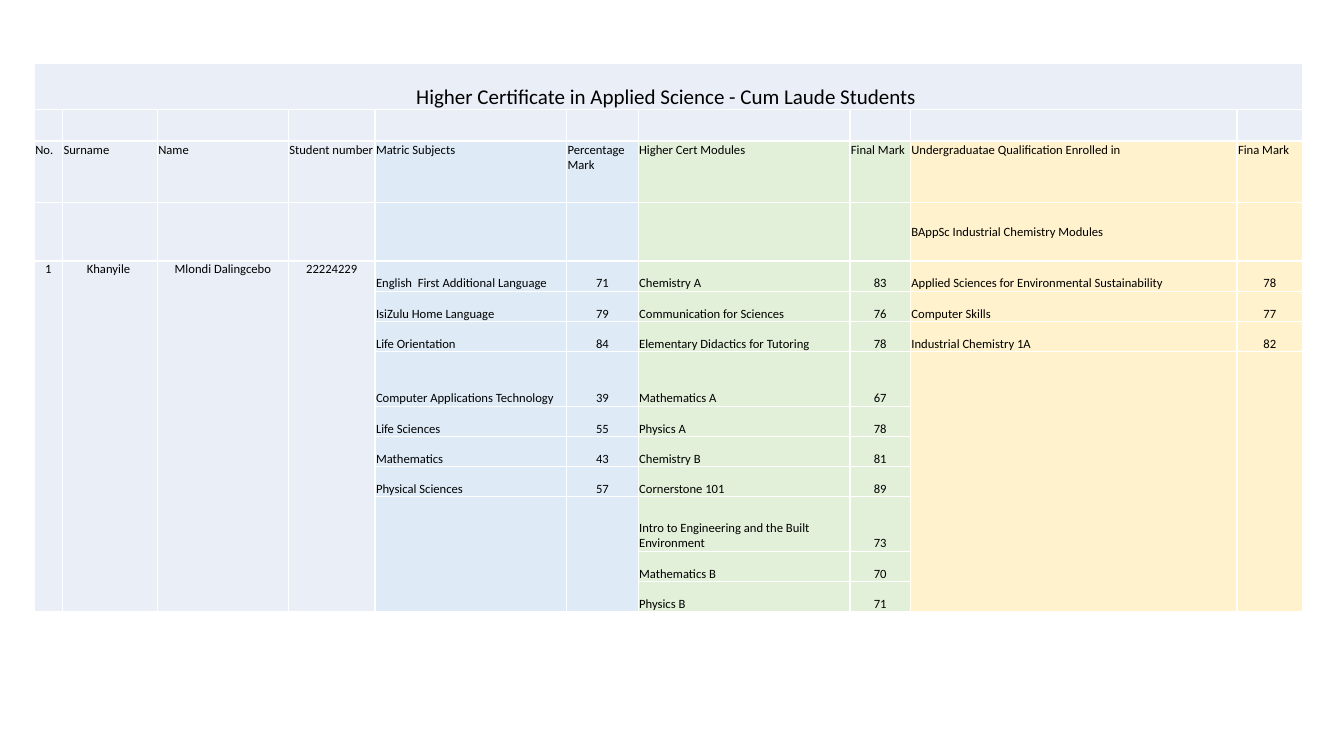
from pptx import Presentation
from pptx.dml.color import RGBColor
from pptx.enum.text import MSO_ANCHOR as ANCHOR, PP_ALIGN as ALIGN
from pptx.oxml.ns import qn
from pptx.util import Inches, Pt
from lxml.etree import SubElement

TITLE = "Higher Certificate in Applied Science - Cum Laude Students "
HEADERS = ["No.", "Surname", "Name", "Student number", "Matric Subjects",
           "Percentage Mark", "Higher Cert Modules", "Final Mark",
           "Undergraduatae Qualification Enrolled in", "Fina Mark"]
DEGREE = "BAppSc Industrial Chemistry Modules"
STUDENT = ["1", "Khanyile ", "Mlondi Dalingcebo", "22224229"]
MATRIC = [("English  First Additional Language", 71), ("IsiZulu Home Language", 79),
          ("Life Orientation", 84), ("Computer Applications Technology", 39),
          ("Life Sciences", 55), ("Mathematics", 43), ("Physical Sciences", 57)]
CERTIFICATE = [("Chemistry A", 83), ("Communication for Sciences", 76),
               ("Elementary Didactics for Tutoring", 78), ("Mathematics A", 67),
               ("Physics A", 78), ("Chemistry B", 81), ("Cornerstone 101", 89),
               ("Intro to Engineering and the Built Environment", 73),
               ("Mathematics B", 70), ("Physics B", 71)]
UNDERGRADUATE = [("Applied Sciences for Environmental Sustainability", 78),
                 ("Computer Skills", 77), ("Industrial Chemistry 1A", 82)]

BLACK = RGBColor(0x00, 0x00, 0x00)
GREY = RGBColor(0xEA, 0xEF, 0xF7)
BLUE = RGBColor(0xDE, 0xEB, 0xF7)
GREEN = RGBColor(0xE2, 0xF0, 0xD9)
YELLOW = RGBColor(0xFF, 0xF2, 0xCC)
WHITE = RGBColor(0xFF, 0xFF, 0xFF)

FONT = "Calibri"
COLS = [0.28, 0.94, 1.3, 0.86, 1.9, 0.71, 2.1, 0.6, 3.24, 0.65]
TALL, LOW = 0.54, 0.3
ROWS = [0.46, 0.31, 0.61, 0.58] + [LOW] * 3 + [TALL] + [LOW] * 3 + [TALL] + [LOW] * 2
FILLS = [GREY] * 4 + [BLUE] * 2 + [GREEN] * 2 + [YELLOW] * 2
HEADER_ROW, DEGREE_ROW, FIRST = 2, 3, 4
LAST, LAST_COL = len(ROWS) - 1, len(COLS) - 1
MARKS = [(4, MATRIC), (6, CERTIFICATE), (8, UNDERGRADUATE)]


def write(cell, text, size=9, align=ALIGN.LEFT, anchor=ANCHOR.TOP):
    cell.vertical_anchor = anchor
    p = cell.text_frame.paragraphs[0]
    p.alignment = align
    r = p.add_run()
    r.text = text
    r.font.size, r.font.name = Pt(size), FONT
    r.font.color.rgb = BLACK


def dress(cell, fill):
    cell.margin_left = cell.margin_right = cell.margin_top = Inches(0.01)
    cell.margin_bottom = 0
    tc_pr = cell._tc.get_or_add_tcPr()
    for side in ("a:lnL", "a:lnR", "a:lnT", "a:lnB"):
        ln = SubElement(tc_pr, qn(side), w=str(Pt(1)))
        solid = SubElement(ln, qn("a:solidFill"))
        SubElement(solid, qn("a:srgbClr"), val=str(WHITE))
    cell.fill.solid()
    cell.fill.fore_color.rgb = fill
    p = cell.text_frame.paragraphs[0]
    SubElement(p._p, qn("a:endParaRPr"), sz=str(900))


def main():
    prs = Presentation()
    prs.slide_width, prs.slide_height = Inches(13.33), Inches(7.5)
    s = prs.slides.add_slide(prs.slide_layouts[6])
    table = s.shapes.add_table(len(ROWS), len(COLS), Inches(0.34), Inches(0.63),
                               Inches(sum(COLS)), Inches(sum(ROWS))).table
    table.first_row = table.horz_banding = False
    for col, width in zip(table.columns, COLS):
        col.width = Inches(width)
    for i, (row, height) in enumerate(zip(table.rows, ROWS)):
        row.height = Inches(height)
        for cell, fill in zip(row.cells, FILLS):
            dress(cell, fill if i >= HEADER_ROW else GREY)

    table.cell(0, 0).merge(table.cell(0, LAST_COL))
    write(table.cell(0, 0), TITLE, size=15, align=ALIGN.CENTER, anchor=ANCHOR.BOTTOM)
    for c, text in enumerate(HEADERS):
        write(table.cell(HEADER_ROW, c), text)
    write(table.cell(DEGREE_ROW, 8), DEGREE, anchor=ANCHOR.MIDDLE)
    for c, text in enumerate(STUDENT):
        table.cell(FIRST, c).merge(table.cell(LAST, c))
        write(table.cell(FIRST, c), text, align=ALIGN.CENTER)

    for c, marks in MARKS:
        for r, (subject, mark) in enumerate(marks, FIRST):
            write(table.cell(r, c), subject, anchor=ANCHOR.BOTTOM)
            write(table.cell(r, c + 1), str(mark), align=ALIGN.CENTER, anchor=ANCHOR.BOTTOM)
        end = FIRST + len(marks)
        if end < LAST:
            for k in (c, c + 1):
                table.cell(end, k).merge(table.cell(LAST, k))
    prs.save("out.pptx")


if __name__ == "__main__":
    main()
